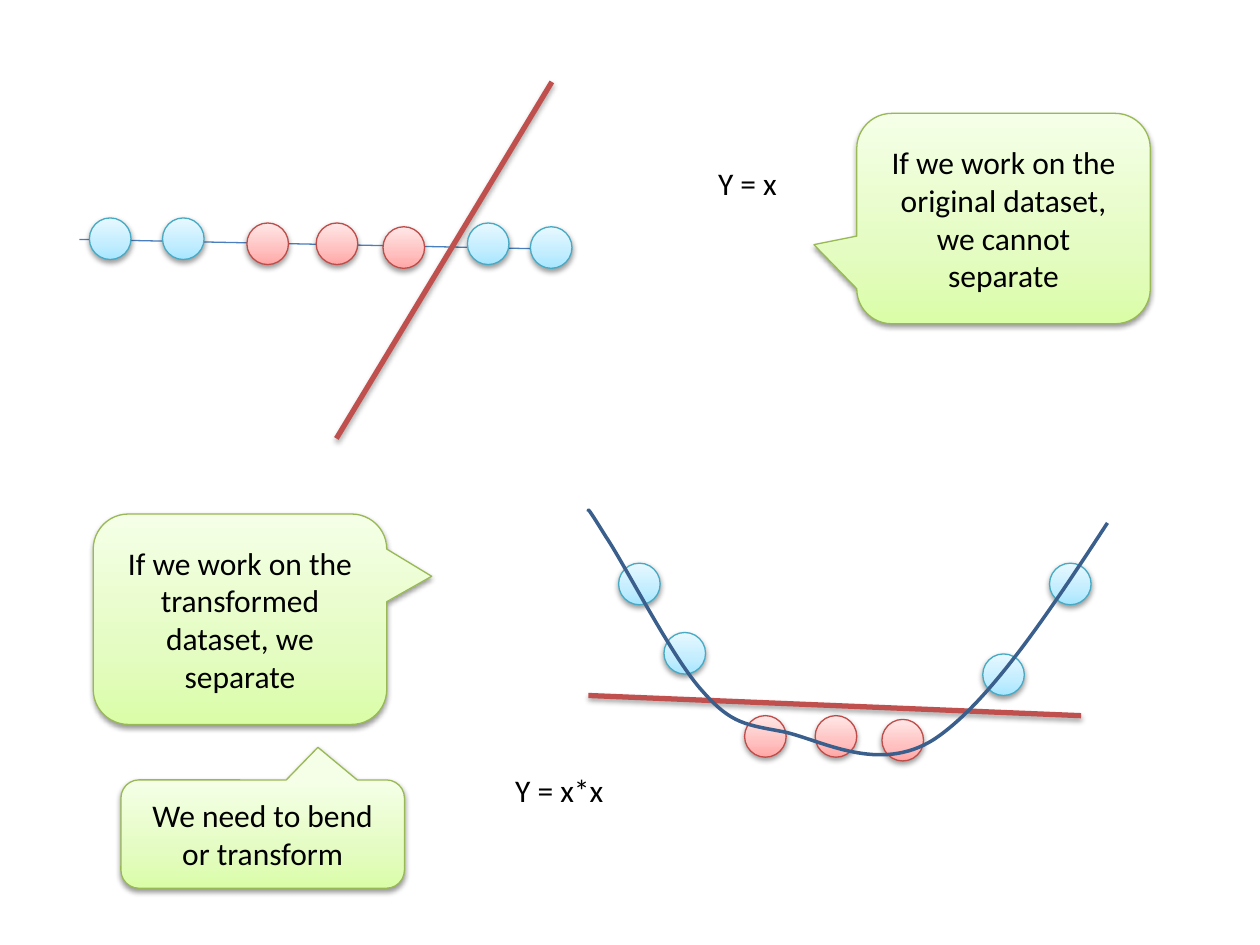
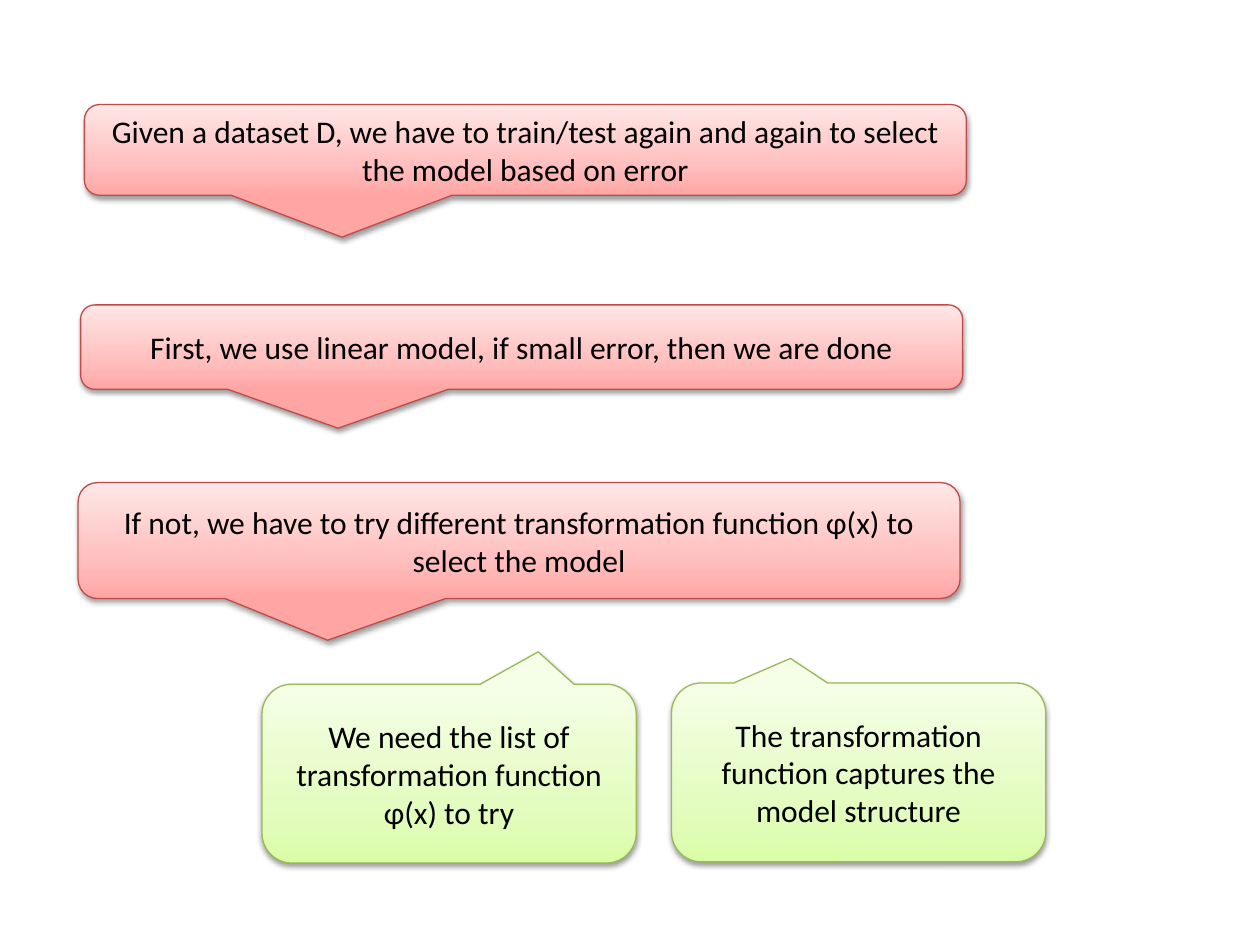
from copy import deepcopy

from lxml.etree import SubElement
from pptx import Presentation
from pptx.dml.color import RGBColor
from pptx.enum.shapes import MSO_CONNECTOR, MSO_SHAPE
from pptx.enum.text import MSO_ANCHOR, MSO_AUTO_SIZE, PP_ALIGN
from pptx.oxml.ns import qn
from pptx.util import Inches, Pt

COLORS = {
    "text": "000000",
    "shadow": "000000",
    "axis": "4B7EBC",
    "separator": "C0504D",
    "curve": "3A5F8C",
}
# Each theme: outline colour, then the gradient from bottom to top.
THEMES = {
    "blue": ("46AAC5", ("A7E6FF", "C1EDFF", "E7F8FF")),
    "red": ("BF4C48", ("FFA6A5", "FFC0BF", "FFE7E7")),
    "green": ("98B955", ("DAFDA7", "E4FCC2", "F5FFE7")),
}
GRADIENT_POSITIONS = (0, 0.35, 1)
FONT = {"name": "Calibri", "size": Pt(18)}
CALLOUT_FRAME = {"word_wrap": True, "vertical_anchor": MSO_ANCHOR.MIDDLE}
LABEL_FRAME = {"word_wrap": True, "auto_size": MSO_AUTO_SIZE.SHAPE_TO_FIT_TEXT}
BALL_SIZE = 0.33
CORNER = 0.167

LINEAR_BALLS = [
    (0.71, 1.73, "blue"), (1.29, 1.73, "blue"), (1.96, 1.77, "red"),
    (2.51, 1.77, "red"), (3.04, 1.8, "red"), (3.71, 1.77, "blue"),
    (4.21, 1.8, "blue"),
]
BENT_BALLS = [
    (4.91, 4.47, "blue"), (5.27, 5.02, "blue"), (5.91, 5.68, "red"),
    (6.47, 5.68, "red"), (7, 5.71, "red"), (7.8, 5.19, "blue"),
    (8.33, 4.47, "blue"),
]
# Start point, then two control points and an end point per Bézier segment.
PARABOLA = [
    (4.67, 4.06),
    (4.67, 4.04), (4.66, 4.02), (4.81, 4.26),
    (4.97, 4.5), (5.34, 5.23), (5.58, 5.49),
    (5.81, 5.75), (5.92, 5.75), (6.23, 5.81),
    (6.53, 5.88), (6.98, 6.14), (7.41, 5.87),
    (7.84, 5.59), (8.32, 4.87), (8.79, 4.15),
]
# Text, box, pointer tip relative to the box centre, theme.
DATASET_CALLOUTS = [
    ("If we work on the original dataset, we cannot separate",
     (6.8, 0.9, 2.33, 1.67), (-0.646, 0.124), "green"),
    ("If we work on the transformed dataset, we separate",
     (0.74, 4.08, 2.33, 1.67), (0.653, -0.204), "green"),
    ("We need to bend or transform",
     (0.96, 6.19, 2.25, 0.86), (0.195, -0.801), "green"),
]
SELECTION_CALLOUTS = [
    ("Given a dataset D, we have to train/test again and again to select "
     "the model based on error",
     (0.67, 0.83, 7, 0.72), (-0.208, 0.961), "red"),
    ("First, we use linear model, if small error, then we are done",
     (0.64, 2.42, 7, 0.67), (-0.208, 0.961), "red"),
    ("If not, we have to try different transformation function φ(x) to "
     "select the model",
     (0.62, 3.83, 7, 0.92), (-0.217, 0.86), "red"),
    ("The transformation function captures the model structure",
     (5.33, 5.42, 2.97, 1.42), (-0.182, -0.637), "green"),
    ("We need the list of transformation function φ(x) to try",
     (2.08, 5.43, 2.97, 1.42), (0.238, -0.681), "green"),
]


def rgb(hex_color):
    return RGBColor.from_string(hex_color)


def inches(values):
    return [Inches(value) for value in values]


def apply(target, values):
    for name, value in values.items():
        setattr(target, name, value)


def set_line(element, color, width):
    element.line.color.rgb = rgb(color)
    element.line.width = Pt(width)


def set_shadow(element, opacity=None, distance=0):
    """Replace the theme's shadow; without an opacity there is none."""
    effects = SubElement(element._element.spPr, qn("a:effectLst"))
    if opacity is None:
        return
    shadow = SubElement(effects, qn("a:outerShdw"), blurRad=str(Pt(3.1)),
                        dist=str(Pt(distance)), dir="5400000", rotWithShape="0")
    color = SubElement(shadow, qn("a:srgbClr"), val=COLORS["shadow"])
    SubElement(color, qn("a:alpha"), val=str(opacity * 1000))


def apply_theme(shape, theme):
    outline, gradient = THEMES[theme]
    shape.fill.gradient()
    shape.fill.gradient_angle = 90
    stop_list = shape._element.spPr.find(".//" + qn("a:gsLst"))
    stop_list.insert(1, deepcopy(stop_list[0]))
    for stop, position, color in zip(shape.fill.gradient_stops,
                                     GRADIENT_POSITIONS, gradient):
        stop.position = position
        stop.color.rgb = rgb(color)
    set_line(shape, outline, 0.75)
    set_shadow(shape, 38, 1.6)


def write(shape, text, frame_format, alignment):
    frame = shape.text_frame
    apply(frame, frame_format)
    paragraph = frame.paragraphs[0]
    paragraph.alignment = alignment
    run = paragraph.add_run()
    run.text = text
    apply(run.font, FONT)
    run.font.color.rgb = rgb(COLORS["text"])


def add_balls(slide, balls):
    for left, top, theme in balls:
        ball = slide.shapes.add_shape(
            MSO_SHAPE.OVAL, *inches((left, top, BALL_SIZE, BALL_SIZE)))
        apply_theme(ball, theme)


def add_straight(slide, start, end, color, width, **shadow):
    straight = slide.shapes.add_connector(
        MSO_CONNECTOR.STRAIGHT, *inches(start + end))
    set_line(straight, COLORS[color], width)
    set_shadow(straight, **shadow)


def add_separator(slide, start, end):
    add_straight(slide, start, end, "separator", 3, opacity=35, distance=1.8)


def add_curve(slide, points):
    """Draw an open outline, then turn each three line steps into a Bézier."""
    start, *steps = [inches(point) for point in points]
    builder = slide.shapes.build_freeform(*start)
    builder.add_line_segments(steps, close=False)
    curve = builder.convert_to_shape()
    outline = curve._element.spPr.find(".//" + qn("a:path"))
    line_steps = outline.findall(qn("a:lnTo"))
    for first in range(0, len(line_steps), 3):
        bezier = SubElement(outline, qn("a:cubicBezTo"))
        for step in line_steps[first:first + 3]:
            bezier.append(step[0])
            outline.remove(step)
    curve.fill.background()
    set_line(curve, COLORS["curve"], 2)
    set_shadow(curve)


def add_label(slide, text, box):
    label = slide.shapes.add_textbox(*inches(box))
    write(label, text, LABEL_FRAME, PP_ALIGN.LEFT)


def add_callouts(slide, callouts):
    for text, box, tip, theme in callouts:
        callout = slide.shapes.add_shape(
            MSO_SHAPE.ROUNDED_RECTANGULAR_CALLOUT, *inches(box))
        for index, value in enumerate((*tip, CORNER)):
            callout.adjustments[index] = value
        apply_theme(callout, theme)
        write(callout, text, CALLOUT_FRAME, PP_ALIGN.CENTER)


def build_dataset_slide(slide):
    add_straight(slide, (0.63, 1.9), (4.54, 1.98), "axis", 0.75)
    add_balls(slide, LINEAR_BALLS)
    add_separator(slide, (2.67, 3.48), (4.38, 0.65))
    add_balls(slide, BENT_BALLS)
    add_separator(slide, (4.67, 5.52), (8.58, 5.68))
    add_curve(slide, PARABOLA)
    add_label(slide, "Y = x", (5.6, 1.25, 3.65, 0.4))
    add_label(slide, "Y = x*x", (3.99, 6.07, 1.44, 0.4))
    add_callouts(slide, DATASET_CALLOUTS)


def main():
    deck = Presentation()
    deck.slide_width, deck.slide_height = inches((10, 7.5))
    blank = deck.slide_layouts[6]
    build_dataset_slide(deck.slides.add_slide(blank))
    add_callouts(deck.slides.add_slide(blank), SELECTION_CALLOUTS)
    deck.save("out.pptx")


if __name__ == "__main__":
    main()
